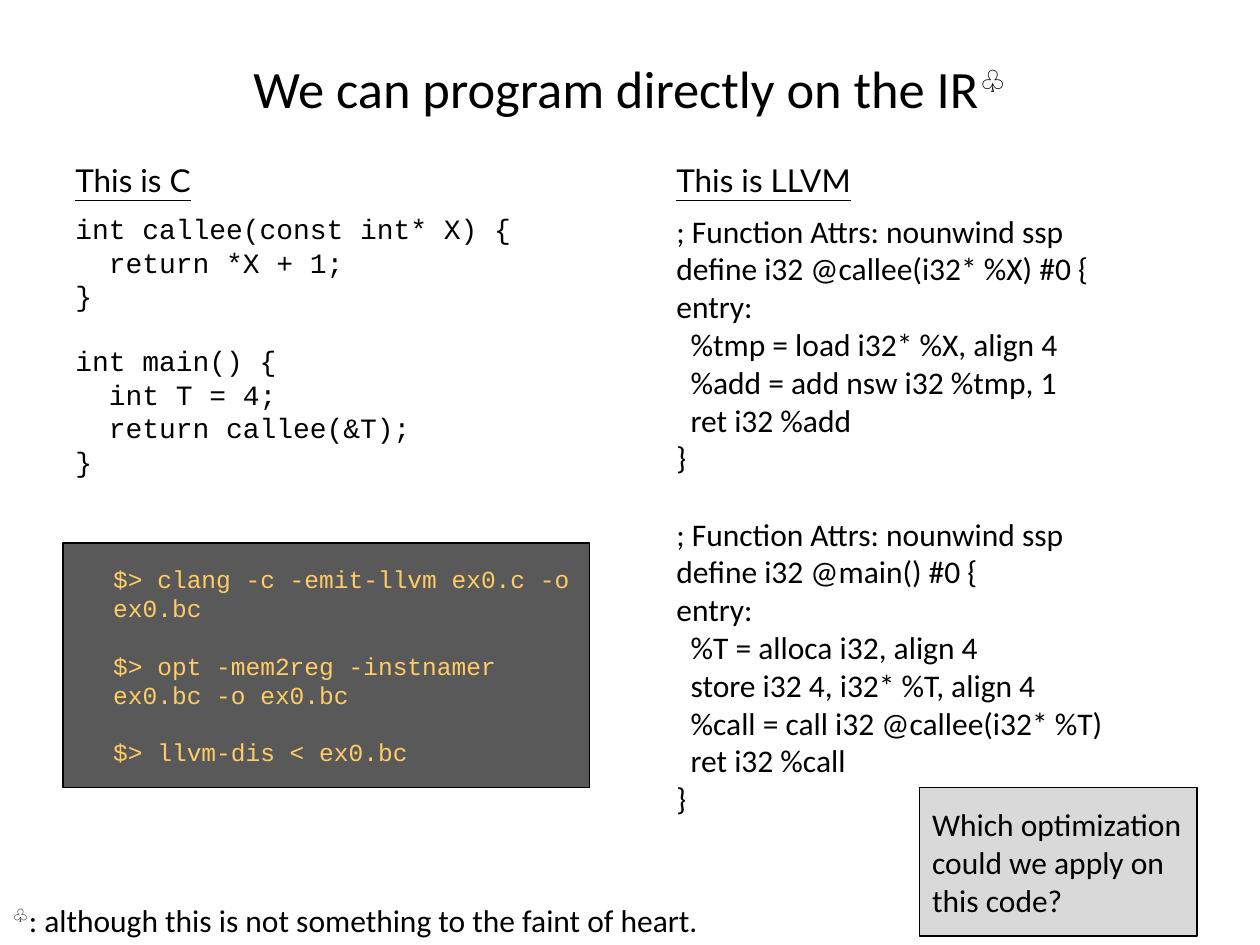
from pptx import Presentation
from pptx import util as u
from pptx.dml.color import RGBColor
from pptx.enum import shapes, text

C_CODE = """int callee(const int* X) {
  return *X + 1;
}

int main() {
  int T = 4;
  return callee(&T);
}"""

LLVM_CODE = """; Function Attrs: nounwind ssp
define i32 @callee(i32* %X) #0 {
entry:
  %tmp = load i32* %X, align 4
  %add = add nsw i32 %tmp, 1
  ret i32 %add
}

; Function Attrs: nounwind ssp
define i32 @main() #0 {
entry:
  %T = alloca i32, align 4
  store i32 4, i32* %T, align 4
  %call = call i32 @callee(i32* %T)
  ret i32 %call
}"""

COMMANDS = """$> clang -c -emit-llvm ex0.c -o ex0.bc

$> opt -mem2reg -instnamer ex0.bc -o ex0.bc

$> llvm-dis < ex0.bc"""


def rgb(color):
    return RGBColor.from_string(color)


def write(sp, content, size=18, font="Calibri", color="000000", underline=None,
          align=text.PP_ALIGN.LEFT, anchor=text.MSO_ANCHOR.TOP, wrap=True,
          gap=0, indent=0):
    """Fill sp; an empty line in content becomes gap points, ♧ is superscript."""
    tf = sp.text_frame
    tf.word_wrap = wrap
    tf.vertical_anchor = anchor
    p = None
    for i, block in enumerate(content.split("\n\n")):
        for j, line in enumerate(block.split("\n")):
            p = tf.add_paragraph() if p is not None else tf.paragraphs[0]
            p.alignment = align
            if i and j == 0:
                p.space_before = u.Pt(gap)
            if indent:
                p._p.get_or_add_pPr().set("marL", str(u.Inches(indent)))
            for part in filter(None, line.partition("♧")):
                r = p.add_run()
                r.text = part
                r.font.size = u.Pt(size)
                r.font.name = font
                r.font.color.rgb = rgb(color)
                r.font.underline = underline
                if part == "♧":
                    r._r.get_or_add_rPr().set("baseline", "30000")


prs = Presentation()
prs.slide_width, prs.slide_height = u.Inches(10), u.Inches(7.5)
s = prs.slides.add_slide(prs.slide_layouts[6])

LEFT, RIGHT = 0.5, 5.27
HEAD_TOP, CODE_TOP = 1.23, 1.63
MIDDLE = text.MSO_ANCHOR.MIDDLE

labels = [
    ((LEFT, 0.3, 9, 0.79), "We can program directly on the IR♧",
     dict(size=30, align=text.PP_ALIGN.CENTER, anchor=MIDDLE)),
    ((0, 7.1, 5.68, 0.4),
     "♧: although this is not something to the faint of heart.", dict(wrap=False)),
    ((LEFT, CODE_TOP, 3.7, 2.26), C_CODE,
     dict(size=16, font="Courier New", wrap=False, gap=18)),
    ((LEFT, HEAD_TOP, 1.23, 0.4), "This is C",
     dict(font="Lato", underline=True, wrap=False)),
    ((RIGHT, HEAD_TOP, 1.63, 0.4), "This is LLVM",
     dict(font="Lato", underline=True, wrap=False)),
    ((RIGHT, CODE_TOP, 3.62, 4.95), LLVM_CODE, dict(wrap=False, gap=22)),
]
for box, content, fmt in labels:
    write(s.shapes.add_textbox(*map(u.Inches, box)), content, **fmt)

panels = [
    ((LEFT, 4.31, 4.18, 1.94), "595959", COMMANDS,
     dict(size=14, font="Courier New", color="FFCC66", gap=16, indent=0.3)),
    ((7.3, 6.25, 2.2, 1.18), "D9D9D9",
     "Which optimization could we apply on this code?", {}),
]
for box, fill, content, fmt in panels:
    sp = s.shapes.add_shape(shapes.MSO_SHAPE.RECTANGLE, *map(u.Inches, box))
    sp.shadow.inherit = False
    sp.fill.solid()
    sp.fill.fore_color.rgb = rgb(fill)
    sp.line.color.rgb = rgb("000000")
    sp.line.width = u.Pt(0.75)
    write(sp, content, anchor=MIDDLE, **fmt)

prs.save("out.pptx")
